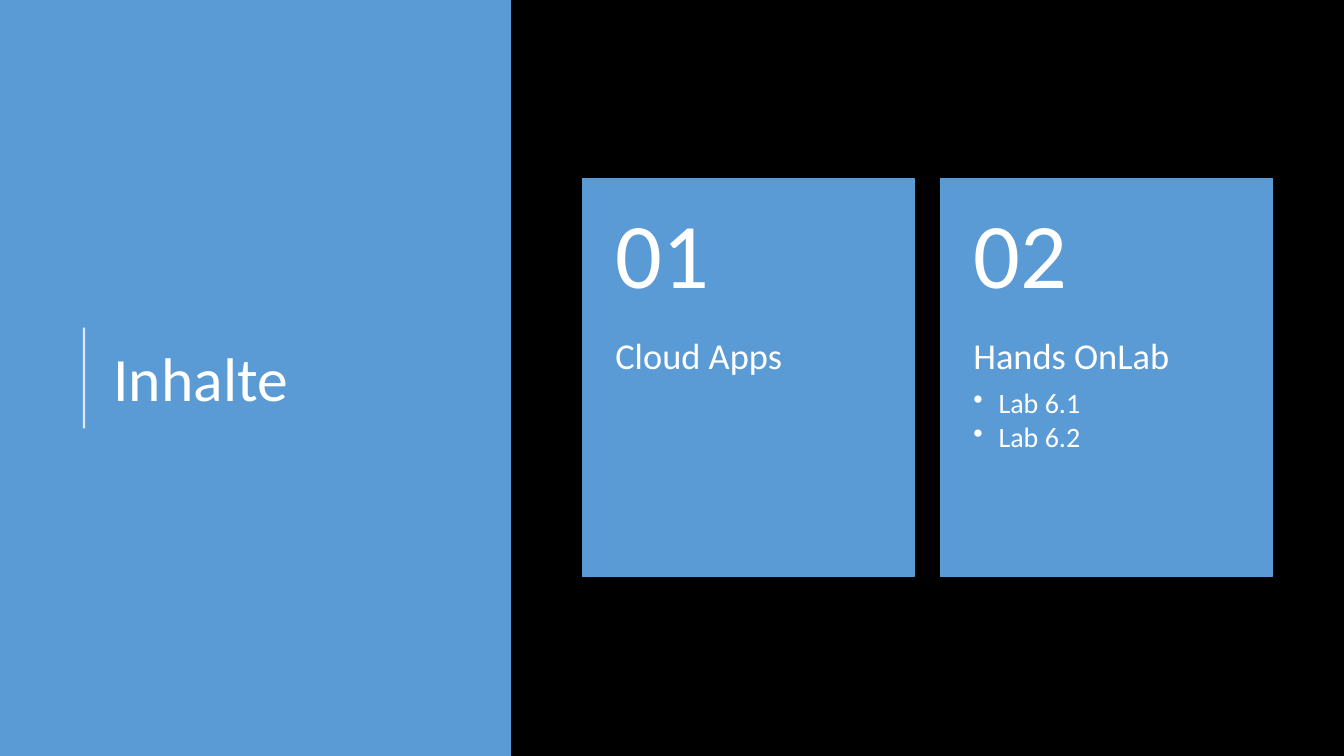
import pptx
import pptx.dml.color
import pptx.enum.shapes
import pptx.enum.text
import pptx.oxml
import pptx.oxml.ns
import pptx.util
from lxml import etree

Pt = pptx.util.Pt
RGB = pptx.dml.color.RGBColor
ANCHOR = pptx.enum.text.MSO_ANCHOR
BLACK = RGB(0x00, 0x00, 0x00)
BLUE = RGB(0x5B, 0x9B, 0xD5)
WHITE = RGB(0xFF, 0xFF, 0xFF)
FONT = "Calibri"
TOP, WIDTH, HEAD, BODY = 127.5, 237, 113.75, 170.75
LEFT, STEP = 416, 255.75
CARDS = [
    ("01", "Cloud Apps", []),
    ("02", "Hands OnLab", ["Lab 6.1", "Lab 6.2"]),
]


def add_box(shapes, left, top, width, height, edge=False):
    """Add a blue rectangle, with or without an edge."""
    box = shapes.add_shape(
        pptx.enum.shapes.MSO_SHAPE.RECTANGLE,
        Pt(left), Pt(top), Pt(width), Pt(height))
    box.shadow.inherit = False
    box.fill.solid()
    box.fill.fore_color.rgb = BLUE
    if edge:
        box.line.color.rgb = BLUE
        box.line.width = Pt(1)
    else:
        box.line.fill.background()


def add_rule(shapes, left, top, end):
    """Add a thin, slightly clear white upright line."""
    rule = shapes.add_connector(
        pptx.enum.shapes.MSO_CONNECTOR.STRAIGHT,
        Pt(left), Pt(end), Pt(left), Pt(top))
    rule.line.color.rgb = WHITE
    rule.line.width = Pt(1.5)
    props = rule.element.spPr
    tone = props.find(".//" + pptx.oxml.ns.qn("a:srgbClr"))
    etree.SubElement(tone, pptx.oxml.ns.qn("a:alpha"), val="80000")
    etree.SubElement(props, pptx.oxml.ns.qn("a:effectLst"))


def add_text(shapes, place, pads, lines, anchor=ANCHOR.TOP):
    """Add a text box of lines given as text, size, space after and bullet."""
    left, top, width, height = place
    box = shapes.add_textbox(Pt(left), Pt(top), Pt(width), Pt(height))
    frame = box.text_frame
    frame.word_wrap = True
    frame.vertical_anchor = anchor
    side, above, below = pads
    frame.margin_left = frame.margin_right = Pt(side)
    frame.margin_top, frame.margin_bottom = Pt(above), Pt(below)
    frame.text = "\n".join(line[0] for line in lines)
    for para, (_, size, after, mark) in zip(frame.paragraphs, lines):
        para.line_spacing = 0.9
        para.space_after = Pt(after)
        font = para.runs[0].font
        font.name, font.size, font.color.rgb = FONT, Pt(size), WHITE
        if mark:
            add_mark(para)


def add_mark(para):
    """Give a paragraph a round bullet with a hanging indent."""
    para.level = 1
    props = para._p.get_or_add_pPr()
    props.set("marL", str(Pt(18)))
    props.set("indent", str(Pt(-18)))
    etree.SubElement(props, pptx.oxml.ns.qn("a:buChar"), char="•")


def add_card(slide, left, number, title, labs):
    """Add a grouped card with its number, title and bullets."""
    shapes = slide.shapes.add_group_shape().shapes
    add_box(shapes, left, TOP, WIDTH, HEAD + BODY, edge=True)
    lines = [(title, 26, 9, False)] + [(lab, 20, 2.5, True) for lab in labs]
    add_text(shapes, (left, TOP + HEAD, WIDTH, BODY), (23.5, 0, 26), lines)
    add_text(shapes, (left, TOP, WIDTH, HEAD), (23.5, 13, 13),
             [(number, 66, 23, False)], ANCHOR.MIDDLE)


def main():
    """Build and save the contents slide."""
    deck = pptx.Presentation()
    deck.slide_width, deck.slide_height = Pt(960), Pt(540)
    slide = deck.slides.add_slide(deck.slide_layouts[6])
    slide.background.fill.solid()
    slide.background.fill.fore_color.rgb = BLACK
    add_box(slide.shapes, 0, 0, 365, 540)
    add_rule(slide.shapes, 60, 234, 306)
    add_text(slide.shapes, (74, 56, 266, 433), (7.2, 3.6, 3.6),
             [("Inhalte", 44, 0, False)], ANCHOR.MIDDLE)
    for index, card in enumerate(CARDS):
        add_card(slide, LEFT + index * STEP, *card)
    deck.save("out.pptx")


if __name__ == "__main__":
    main()
